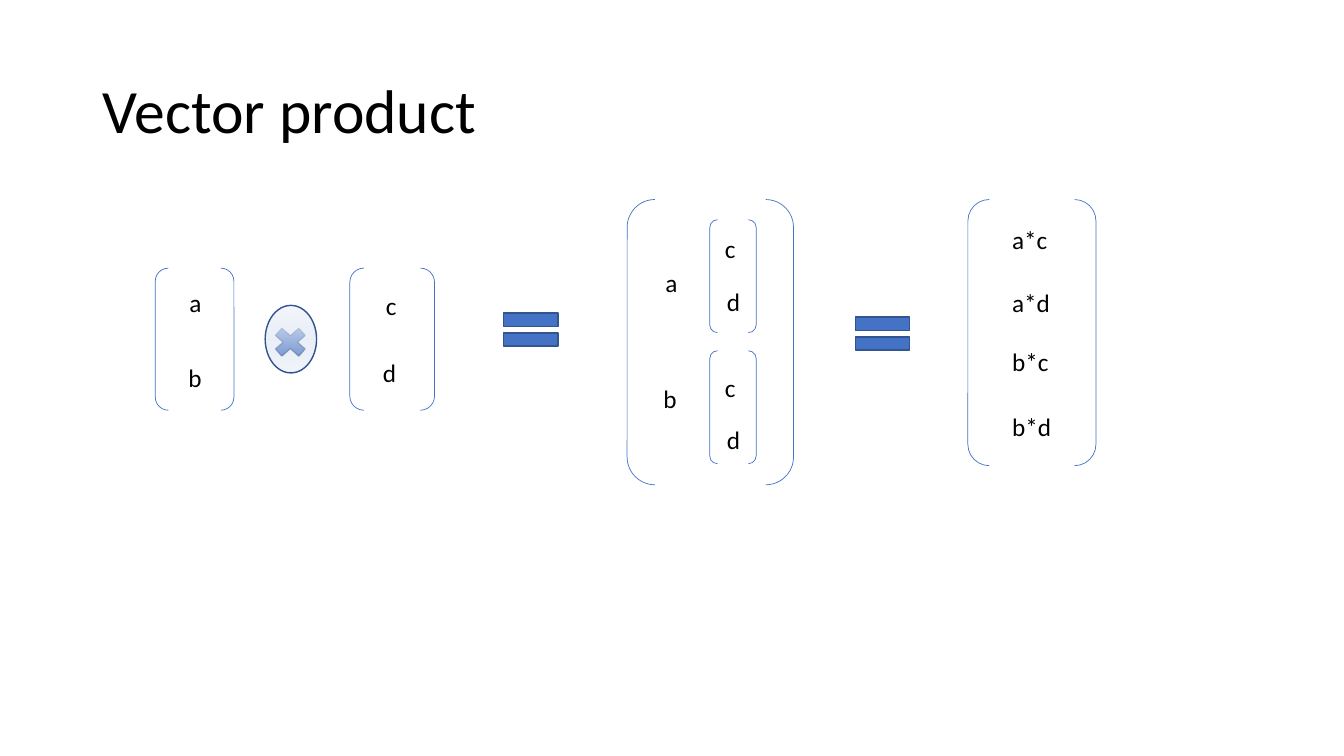
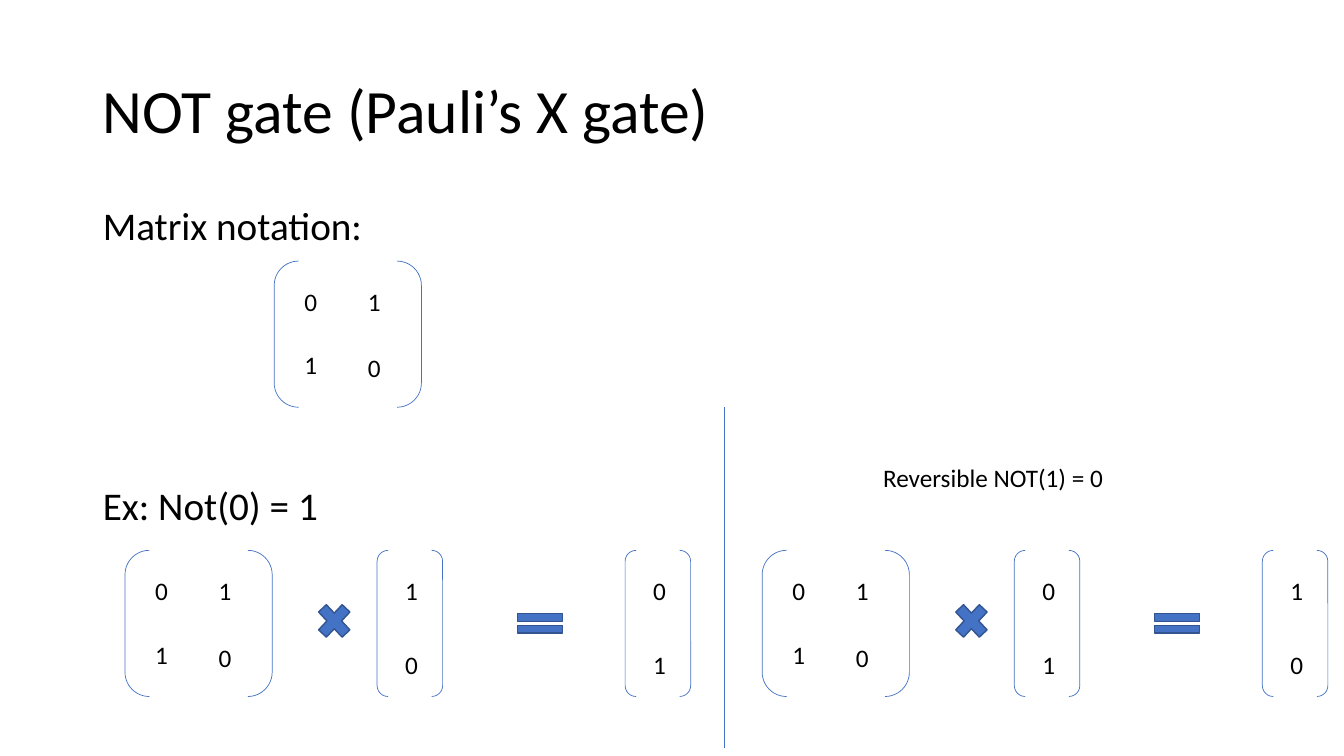
from dataclasses import dataclass

from lxml.etree import SubElement
from pptx import Presentation
from pptx.dml.color import RGBColor
from pptx.enum.shapes import MSO_CONNECTOR, MSO_SHAPE as Preset
from pptx.enum.text import MSO_ANCHOR as Anchor, MSO_AUTO_SIZE as AutoSize, PP_ALIGN as Align
from pptx.oxml.ns import qn
from pptx.util import Inches, Pt


@dataclass(frozen=True)
class Theme:
    font: str = "Calibri"
    ink: str = "000000"
    accent: str = "4472C4"
    edge: str = "325491"
    title_size: int = 44
    body_size: int = 28
    label_size: int = 18
    thin: float = 0.5
    outline: float = 1
    # position, colour and opacity, all in percent
    glass: tuple = ((0, "F6F8FC", 100), (97, "C7D5ED", 23), (100, "ABC0E4", 100))


THEME = Theme()
TITLE_ONLY, TITLE_AND_BODY = 5, 1


def write(para, text, size=THEME.label_size, color=THEME.ink, line_spacing=None, before=0):
    """Put formatted text into a paragraph."""
    para.alignment = Align.LEFT
    para.line_spacing = line_spacing
    para.space_before = Pt(before)
    span = para.add_run()
    span.text = text
    span.font.name = THEME.font
    span.font.size = Pt(size)
    span.font.color.rgb = RGBColor.from_string(color)


class Board:
    """Holds the deck and the current slide, and draws on it."""

    def __init__(self):
        self.deck = Presentation()
        self.deck.slide_width, self.deck.slide_height = Inches(13.33), Inches(7.5)
        self.slide = None

    def new_slide(self, title, layout=TITLE_ONLY):
        self.slide = self.deck.slides.add_slide(self.deck.slide_layouts[layout])
        frame = self.place(self.slide.shapes.title, 0.92, 0.4, 11.5, 1.45, Anchor.MIDDLE)
        write(frame.paragraphs[0], title, size=THEME.title_size, line_spacing=0.9)

    def place(self, holder, left, top, width, height, anchor):
        holder.left, holder.top = Inches(left), Inches(top)
        holder.width, holder.height = Inches(width), Inches(height)
        frame = holder.text_frame
        frame.auto_size = AutoSize.NONE
        frame.vertical_anchor = anchor
        return frame

    def body(self, lines):
        """Fill the body with (text, space before) lines, without bullets."""
        frame = self.place(self.slide.placeholders[1], 0.92, 2, 11.5, 4.76, Anchor.TOP)
        for index, (text, before) in enumerate(lines):
            para = frame.add_paragraph() if index else frame.paragraphs[0]
            properties = para._p.get_or_add_pPr()
            properties.set("marL", "0")
            properties.set("indent", "0")
            SubElement(properties, qn("a:buNone"))
            write(para, text, size=THEME.body_size, line_spacing=0.9, before=before)

    def label(self, text, left, top, width=0.38, height=0.4):
        box = self.slide.shapes.add_textbox(*map(Inches, (left, top, width, height)))
        box.text_frame.word_wrap = True
        box.text_frame.auto_size = AutoSize.SHAPE_TO_FIT_TEXT
        write(box.text_frame.paragraphs[0], text)

    def shape(self, preset, left, top, width, height, fill=THEME.accent,
              line=THEME.edge, weight=THEME.outline):
        shape = self.slide.shapes.add_shape(preset, *map(Inches, (left, top, width, height)))
        shape.shadow.inherit = False
        if fill:
            shape.fill.solid()
            shape.fill.fore_color.rgb = RGBColor.from_string(fill)
        else:
            shape.fill.background()
        shape.line.color.rgb = RGBColor.from_string(line)
        shape.line.width = Pt(weight)
        return shape

    def matrix(self, left, top, width, height, entries=(), entry_width=0.38):
        """Draw brackets around (text, x offset, y offset) entries."""
        self.shape(Preset.DOUBLE_BRACKET, left, top, width, height,
                   fill=None, line=THEME.accent, weight=THEME.thin)
        for text, across, down in entries:
            self.label(text, left + across, top + down, entry_width)

    def times(self, left, top, width, height):
        self.shape(Preset.MATH_MULTIPLY, left, top, width, height)

    def equals(self, left, top, width, height):
        self.shape(Preset.MATH_EQUAL, left, top, width, height)

    def glass_ellipse(self, left, top, width, height):
        shape = self.shape(Preset.OVAL, left, top, width, height)
        shape.fill.gradient()
        shape.fill.gradient_angle = 270
        stops = next(shape._element.iter(qn("a:gsLst")))
        stops.clear()
        for position, color, opacity in THEME.glass:
            stop = SubElement(stops, qn("a:gs"), pos=str(position * 1000))
            tint = SubElement(stop, qn("a:srgbClr"), val=color)
            SubElement(tint, qn("a:alpha"), val=str(opacity * 1000))

    def divider(self, left, top, bottom):
        line = self.slide.shapes.add_connector(
            MSO_CONNECTOR.STRAIGHT, *map(Inches, (left, top, left, bottom)))
        line.line.color.rgb = RGBColor.from_string(THEME.accent)
        line.line.width = Pt(THEME.thin)
        SubElement(line._element.spPr, qn("a:effectLst"))

    # Parts of the gate equations
    def not_gate(self, left, top):
        self.matrix(left, top, 1.46, 1.45, [
            ("0", 0.2, 0.2), ("1", 0.83, 0.2), ("1", 0.2, 0.83), ("0", 0.83, 0.86)])

    def qubit(self, left, top, values):
        upper, lower = values
        self.matrix(left, top, 0.65, 1.45, [(upper, 0.18, 0.2), (lower, 0.18, 0.93)])

    def gate_equation(self, left, top, state, result):
        self.not_gate(left, top)
        self.times(left + 1.85, top + 0.46, 0.45, 0.48)
        self.qubit(left + 2.5, top, state)
        self.equals(left + 3.81, top + 0.56, 0.61, 0.33)
        self.qubit(left + 4.96, top, result)


def vector_product(board):
    board.new_slide("Vector product")
    # Two factors
    board.matrix(1.54, 2.66, 0.78, 1.41, [("a", 0.24, 0.14), ("b", 0.23, 0.89)], 0.32)
    board.matrix(3.47, 2.66, 0.84, 1.41, [("c", 0.26, 0.17), ("d", 0.23, 0.84)], 0.32)
    # Result, multiplied out
    products = zip(("a*c", "a*d", "b*c", "b*d"), (0.2, 0.82, 1.41, 2.05))
    board.matrix(9.6, 1.98, 1.27, 2.64, [(text, 0.34, down) for text, down in products], 0.7)
    # Nested form
    board.matrix(6.22, 1.98, 1.65, 2.83, [("a", 0.28, 0.62), ("b", 0.26, 1.77)], 0.32)
    for top, down in ((2.18, 0.09), (3.48, 0.16)):
        board.matrix(7.04, top, 0.46, 1.12,
                     [("c", 0.05, down), ("d", 0.07, down + 0.52)], 0.32)
    # Operators
    board.equals(4.9, 2.99, 0.73, 0.56)
    board.equals(8.39, 3.03, 0.73, 0.56)
    board.times(2.66, 3.2, 0.44, 0.39)
    board.glass_ellipse(2.63, 3.03, 0.51, 0.67)


def not_gate_slide(board):
    board.new_slide("NOT gate (Pauli’s X gate)", TITLE_AND_BODY)
    board.body([("Matrix notation:", 0), ("Ex: Not(0) = 1", 170)])
    board.not_gate(2.72, 2.59)
    # Forward and reverse examples
    board.gate_equation(1.24, 5.46, state="10", result="01")
    board.gate_equation(7.56, 5.46, state="01", result="10")
    board.label("Reversible NOT(1) = 0", 8.66, 4.54, 3.42)
    board.divider(7.18, 4.04, 7.42)


def main():
    board = Board()
    vector_product(board)
    not_gate_slide(board)
    board.deck.save("out.pptx")


if __name__ == "__main__":
    main()
